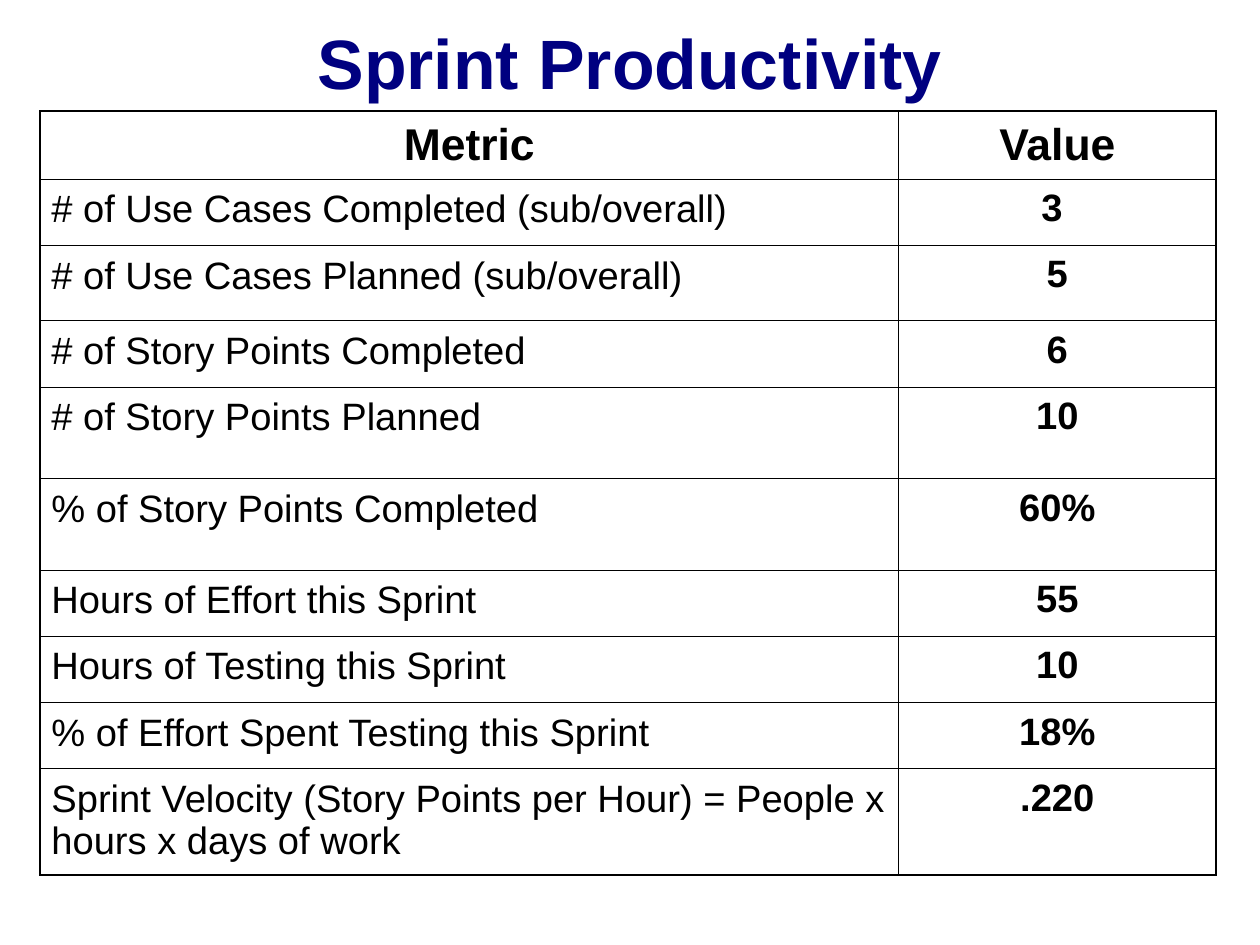
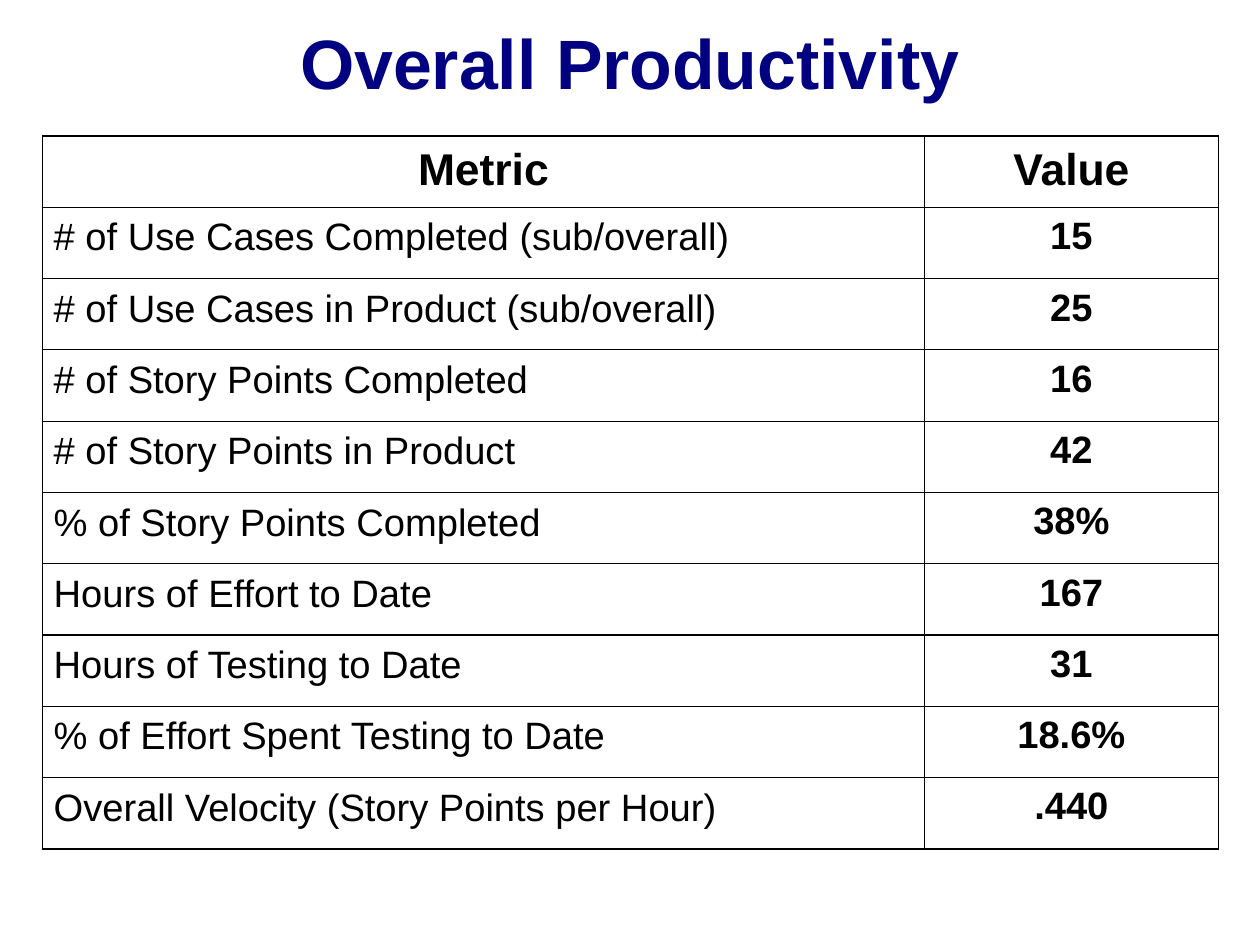
import dataclasses

import lxml.etree
import pptx
import pptx.dml.color
import pptx.enum.text
import pptx.oxml.ns
import pptx.util

# Content
HEADER = ("Metric", "Value")
SLIDES = [
    dict(
        title="Sprint Productivity",
        left=0.35, top=0.97, metric_share=0.73,
        row_heights=[0.59, 0.58, 0.66, 0.58, 0.8, 0.8, 0.58, 0.58, 0.58, 0.93],
        rows=[
            ("# of Use Cases Completed (sub/overall)", "3 "),
            ("# of Use Cases Planned (sub/overall)", "5"),
            ("# of Story Points Completed", "6"),
            ("# of Story Points Planned", "10"),
            ("% of Story Points Completed", "60%"),
            ("Hours of Effort this Sprint", "55"),
            ("Hours of Testing this Sprint", "10"),
            ("% of Effort Spent Testing this Sprint", "18%"),
            ("Sprint Velocity (Story Points per Hour) = "
             "People x hours x days of work", ".220"),
        ],
    ),
    dict(
        title="Overall Productivity",
        left=0.37, top=1.19, metric_share=0.75,
        row_heights=[6.24 / 10] * 10,
        rows=[
            ("# of Use Cases Completed (sub/overall)", "15"),
            ("# of Use Cases in Product (sub/overall)", "25"),
            ("# of Story Points Completed", "16"),
            ("# of Story Points in Product", "42"),
            ("% of Story Points Completed", "38%"),
            ("Hours of Effort to Date", "167"),
            ("Hours of Testing to Date", "31"),
            ("% of Effort Spent Testing to Date", "18.6%"),
            ("Overall Velocity (Story Points per Hour)", ".440"),
        ],
    ),
]


# Theme
@dataclasses.dataclass(frozen=True)
class Theme:
    font: str = "Arial"
    title_color: str = "000080"
    ink: str = "000000"
    title_size: int = 44
    header_size: int = 28
    body_size: int = 24
    space_before: int = 7
    outer_line: float = 1.08
    inner_line: float = 0.75


THEME = Theme()
WIDTH_CM, HEIGHT_CM = 28, 21
TITLE_BOX = (0.83, 0.08, 9.37, 0.92)
TABLE_WIDTH = 10.29
CENTER = pptx.enum.text.PP_ALIGN.CENTER
LEFT = pptx.enum.text.PP_ALIGN.LEFT
inch = pptx.util.Inches


# Helpers
def write(tf, text, size, color, bold, align):
    p = tf.paragraphs[0]
    p.text = text
    p.alignment = align
    font = p.runs[0].font
    font.name = THEME.font
    font.size = pptx.util.Pt(size)
    font.bold = bold
    font.color.rgb = pptx.dml.color.RGBColor.from_string(color)
    return p


def add_borders(cell, outer):
    """Rule all four sides, heavier on the sides named in outer."""
    tc_pr = cell._tc.get_or_add_tcPr()
    qn = pptx.oxml.ns.qn
    for side in "LRTB":
        width = THEME.outer_line if side in outer else THEME.inner_line
        ln = lxml.etree.SubElement(tc_pr, qn("a:ln" + side),
                                   w=str(pptx.util.Pt(width)))
        fill = lxml.etree.SubElement(ln, qn("a:solidFill"))
        lxml.etree.SubElement(fill, qn("a:srgbClr"), val=THEME.ink)


def add_title(s, title):
    tf = s.shapes.add_textbox(*map(inch, TITLE_BOX)).text_frame
    tf.word_wrap = True
    tf.vertical_anchor = pptx.enum.text.MSO_ANCHOR.MIDDLE
    write(tf, title, THEME.title_size, THEME.title_color, True, CENTER)


def add_metrics(s, page):
    rows = [HEADER] + page["rows"]
    heights = page["row_heights"]
    table = s.shapes.add_table(
        len(rows), len(HEADER), inch(page["left"]), inch(page["top"]),
        inch(TABLE_WIDTH), inch(sum(heights))).table
    table.first_row = table.horz_banding = False
    share = page["metric_share"]
    for column, part in zip(table.columns, (share, 1 - share)):
        column.width = inch(TABLE_WIDTH * part)

    last = len(rows) - 1
    for i, row in enumerate(rows):
        table.rows[i].height = inch(heights[i])
        header = i == 0
        for j, text in enumerate(row):
            cell = table.cell(i, j)
            is_value = j == 1
            spaced = header or not is_value
            cell.margin_top = inch(0.08 if spaced else 0.07)
            cell.margin_bottom = inch(0.05)
            add_borders(cell, "LR"[j] + "T" * header + "B" * (i == last))
            cell.fill.background()
            p = write(cell.text_frame, text,
                      THEME.header_size if header else THEME.body_size,
                      THEME.ink, header or is_value,
                      CENTER if header or is_value else LEFT)
            if spaced:
                p.space_before = pptx.util.Pt(THEME.space_before)


# Build
prs = pptx.Presentation()
prs.slide_width = pptx.util.Cm(WIDTH_CM)
prs.slide_height = pptx.util.Cm(HEIGHT_CM)
for page in SLIDES:
    s = prs.slides.add_slide(prs.slide_layouts[6])
    add_title(s, page["title"])
    add_metrics(s, page)
prs.save("out.pptx")
